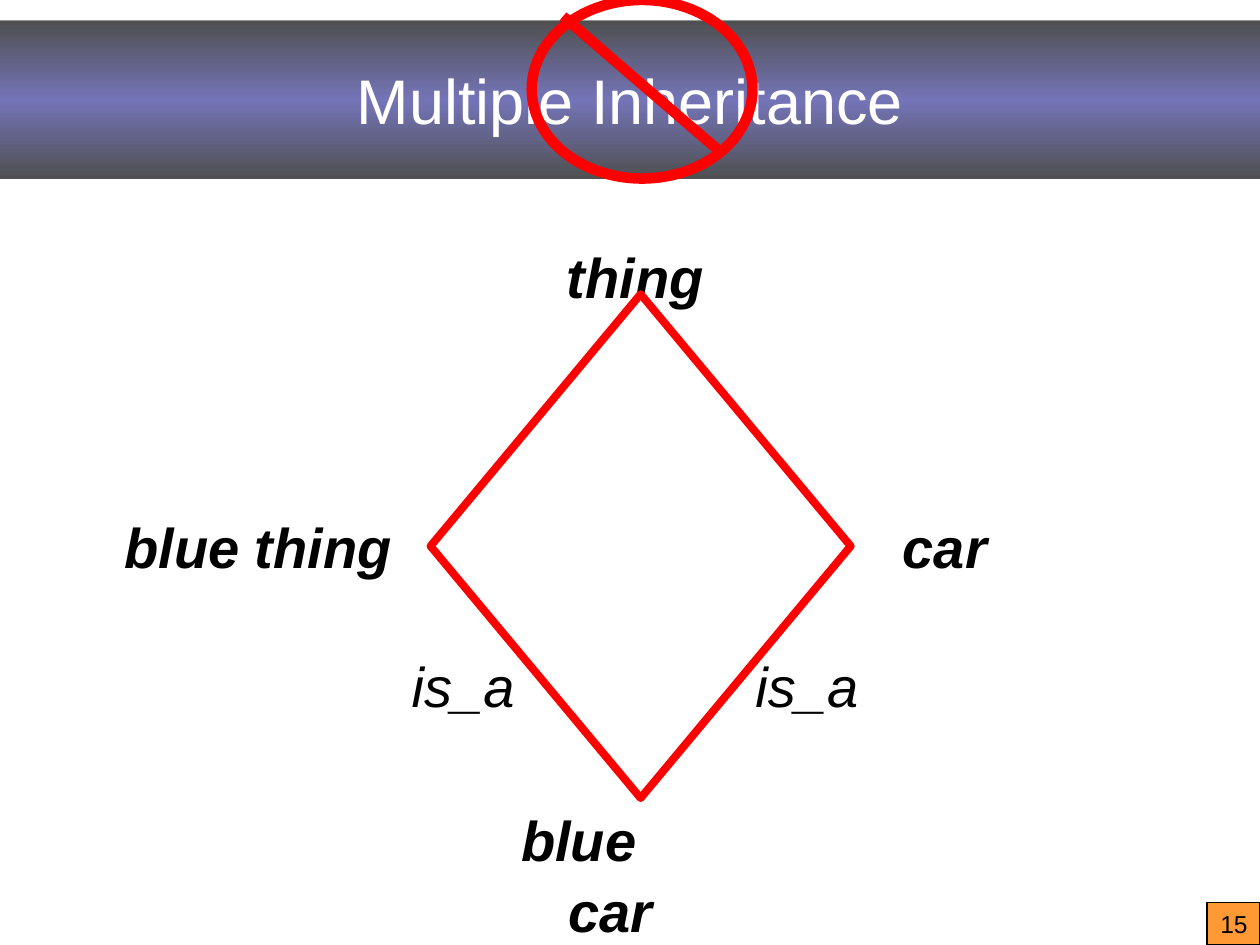
from dataclasses import dataclass

from lxml import etree
from pptx import Presentation
from pptx.dml.color import RGBColor
from pptx.enum.shapes import MSO_CONNECTOR as Line, MSO_SHAPE as Shape
from pptx.enum.text import MSO_ANCHOR as Anchor, PP_ALIGN as Align
from pptx.oxml.ns import qn
from pptx.util import Cm, Pt


@dataclass(frozen=True)
class Theme:
    font: str = "Arial"
    ink: str = "000000"
    light: str = "FFFFFF"
    accent: str = "FF0000"
    badge: str = "FF9933"
    band: tuple = ((0, "000000", 68), (50, "333399", 67), (100, "000000", 68))
    title: int = 36
    label: int = 32
    number: int = 14


class Deck:
    def __init__(self, slide, theme):
        self.s, self.theme = slide, theme

    def shape(self, kind, box, line=None, width=1, fill=None, parent=None):
        sp = (parent or self.s).shapes.add_shape(kind, *map(Cm, box))
        sp.shadow.inherit = False
        if fill:
            sp.fill.solid()
            sp.fill.fore_color.rgb = RGBColor.from_string(fill)
        else:
            sp.fill.background()
        if line:
            self.stroke(sp, line, width)
        else:
            sp.line.fill.background()
        return sp

    def stroke(self, sp, color, width):
        sp.line.color.rgb = RGBColor.from_string(color)
        sp.line.width = Pt(width)

    def connector(self, start, end, color, width, parent):
        c = parent.shapes.add_connector(Line.STRAIGHT, *map(Cm, start + end))
        self.stroke(c, color, width)
        etree.SubElement(c._element.spPr, qn("a:effectLst"))

    def gradient(self, sp, stops):
        """Vertical gradient with a transparency for each stop."""
        sp.fill.gradient()
        sp.fill.gradient_angle = 270
        gs_list = sp._element.spPr.find(qn("a:gradFill")).find(qn("a:gsLst"))
        for old in list(gs_list):
            gs_list.remove(old)
        for pos, color, alpha in stops:
            gs = etree.SubElement(gs_list, qn("a:gs"), pos=str(pos * 1000))
            clr = etree.SubElement(gs, qn("a:srgbClr"), val=color)
            etree.SubElement(clr, qn("a:alpha"), val=str(alpha * 1000))

    def fill_text(self, sp, text, size, color=None, align=Align.LEFT,
                  anchor=Anchor.TOP, spacing=1.0, margin=0, indent=0, **style):
        tf = sp.text_frame
        tf.word_wrap = True
        tf.vertical_anchor = anchor
        p = tf.paragraphs[0]
        p.alignment, p.line_spacing = align, spacing
        pPr = p._p.get_or_add_pPr()
        pPr.set("marL", str(Cm(margin)))
        pPr.set("indent", str(Cm(indent)))
        r = p.add_run()
        r.text = text
        for key, value in {"name": self.theme.font, "size": Pt(size), **style}.items():
            setattr(r.font, key, value)
        r.font.color.rgb = RGBColor.from_string(color or self.theme.ink)

    def text(self, box, text, size, **options):
        self.fill_text(self.s.shapes.add_textbox(*map(Cm, box)), text, size, **options)

    def label(self, box, text, **options):
        self.text(box, text, self.theme.label, spacing=1.05, italic=True, **options)


def main():
    prs = Presentation()
    prs.slide_width, prs.slide_height = Cm(25.4), Cm(19.05)
    theme = Theme()
    deck = Deck(prs.slides.add_slide(prs.slide_layouts[6]), theme)

    # Page number badge
    deck.shape(Shape.RECTANGLE, (24.33, 18.2, 1.07, 0.85), theme.ink, 0.75, theme.badge)

    # Title band
    band = deck.shape(Shape.RECTANGLE, (0, 0.42, 25.4, 3.18))
    deck.gradient(band, theme.band)
    deck.fill_text(band, "Multiple Inheritance", theme.title, color=theme.light,
                   align=Align.CENTER, anchor=Anchor.MIDDLE)

    # Class names around the inheritance diamond
    hanging = {"margin": 0.95, "indent": -0.95, "bold": True}
    deck.label((1.06, 4.7, 23.5, 13.13), "thing", align=Align.CENTER, **hanging)
    deck.label((14.17, 10.15, 6.17, 1.6), "car", margin=3.78, bold=True)
    deck.shape(Shape.DIAMOND, (8.68, 5.93, 8.47, 10.16), theme.accent, 4.5)
    deck.label((2.26, 10.15, 9.17, 1.6), "blue thing", **hanging)
    deck.label((10.26, 16.05, 4.5, 1.6), "blue car", **hanging)

    # Relation names
    for left in (8.05, 14.98):
        deck.label((left, 12.95, 2.7, 1.6), "is_a")

    # Prohibition sign over the title
    sign = deck.s.shapes.add_group_shape()
    deck.shape(Shape.OVAL, (10.72, 0, 4.45, 3.6), theme.accent, 6, parent=sign)
    deck.connector((11.35, 0.33), (14.53, 3.07), theme.accent, 6, sign)

    # Page number
    deck.text((20.95, 18.2, 4.45, 0.85), "15", theme.number,
              align=Align.RIGHT, margin=2.54)

    prs.save("out.pptx")


if __name__ == "__main__":
    main()
